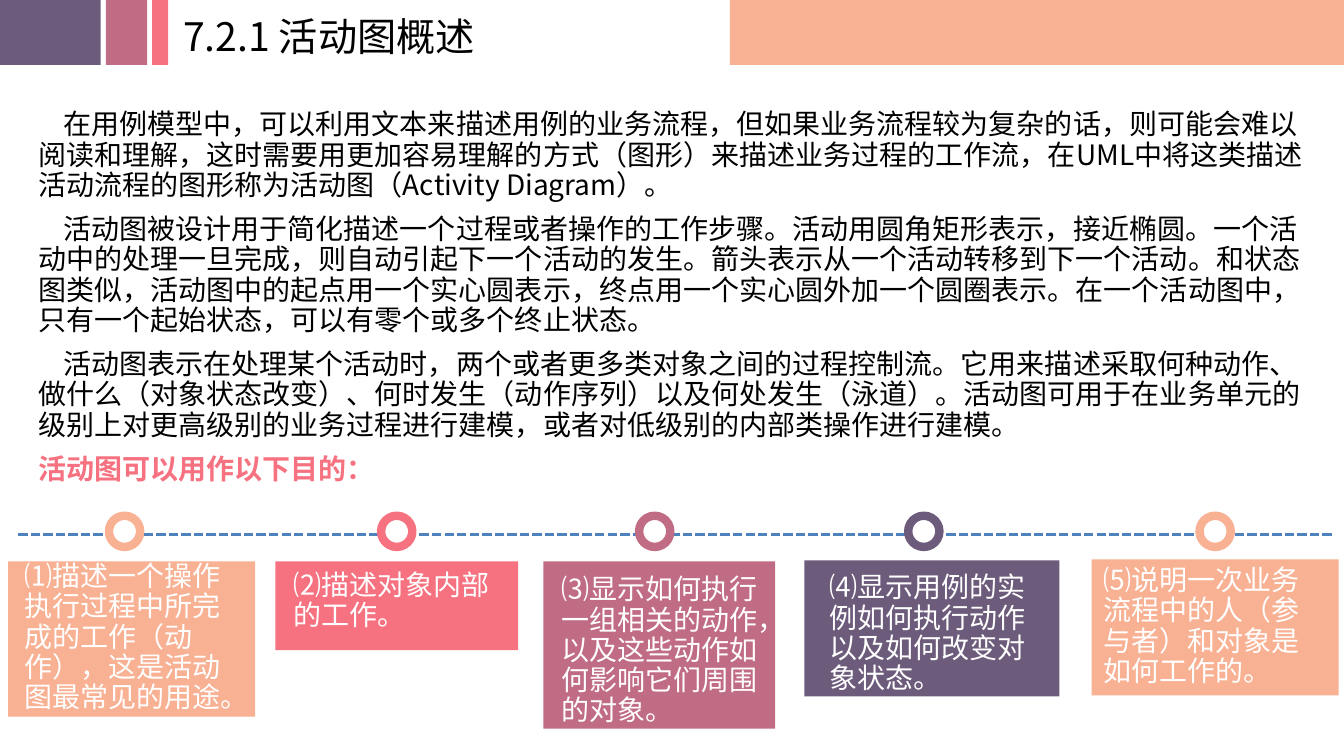
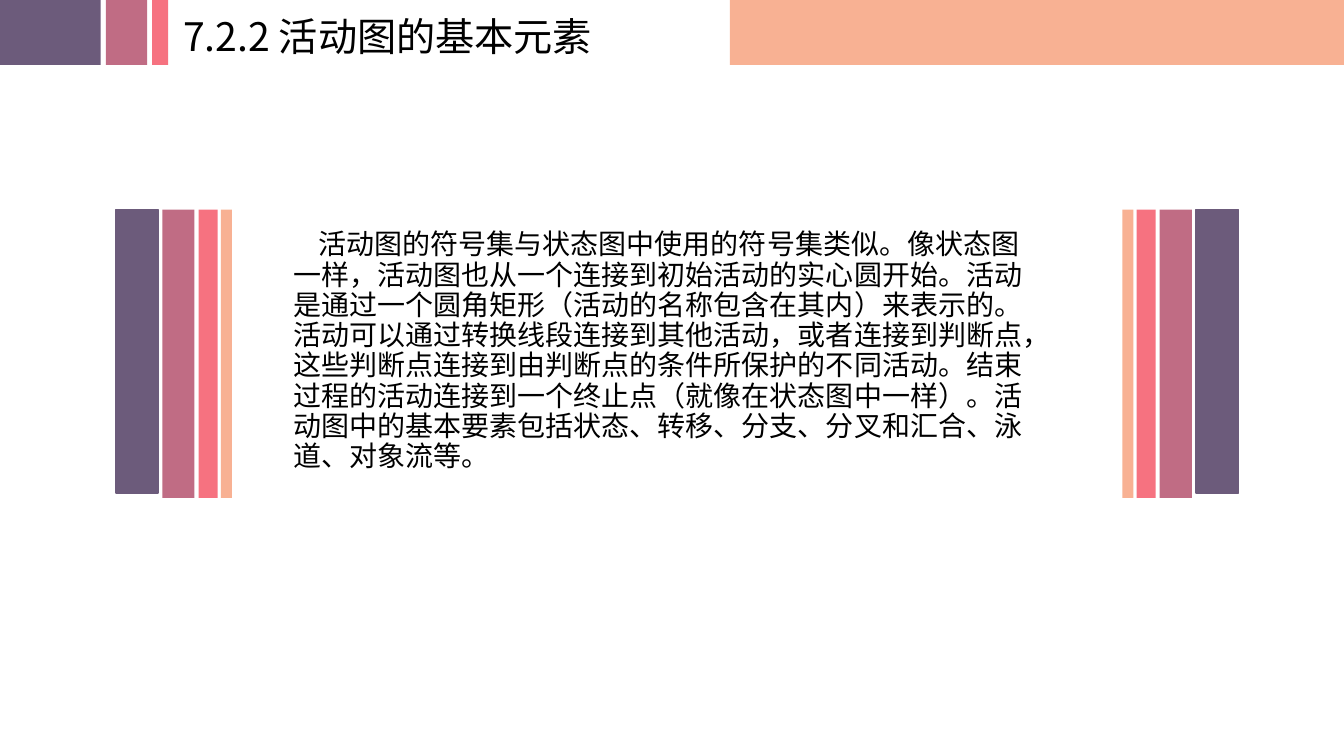
from lxml import etree
from pptx import Presentation
from pptx.dml.color import RGBColor
from pptx.enum import dml, shapes, text
from pptx.oxml.ns import qn
from pptx.util import Pt

FONT = "Noto Sans CJK SC"
PURPLE, MAUVE, PINK, PEACH = "6C5B7B", "C06C84", "F67280", "F8B193"
WHITE, BLACK, BLUE = "FFFFFF", "000000", "4F81BD"
WIDTH, HEIGHT = 960, 540

# Header bands: left, width, colour
BAND_HEIGHT = 46.3
BANDS = [(521.3, 438.7, PEACH), (0, 72, PURPLE), (75.6, 29.5, MAUVE), (108.7, 11.5, PINK)]

OVERVIEW_TITLE = "7.2.1 活动图概述"
OVERVIEW = [
    "在用例模型中，可以利用文本来描述用例的业务流程，但如果业务流程较为复杂的话，则可能会难以阅读和理解，这时需要用更加容易理解的方式（图形）来描述业务过程的工作流，在UML中将这类描述活动流程的图形称为活动图（Activity Diagram）。",
    "活动图被设计用于简化描述一个过程或者操作的工作步骤。活动用圆角矩形表示，接近椭圆。一个活动中的处理一旦完成，则自动引起下一个活动的发生。箭头表示从一个活动转移到下一个活动。和状态图类似，活动图中的起点用一个实心圆表示，终点用一个实心圆外加一个圆圈表示。在一个活动图中，只有一个起始状态，可以有零个或多个终止状态。",
    "活动图表示在处理某个活动时，两个或者更多类对象之间的过程控制流。它用来描述采取何种动作、做什么（对象状态改变）、何时发生（动作序列）以及何处发生（泳道）。活动图可用于在业务单元的级别上对更高级别的业务过程进行建模，或者对低级别的内部类操作进行建模。",
]
PURPOSES_HEADING = "活动图可以用作以下目的："
# Purposes: text, colour, ring left, card (left, top, width, height), insets (left, top, right)
PURPOSES = [
    ("⑴描述一个操作执行过程中所完成的工作（动作），这是活动图最常见的用途。", PEACH, 77.8,
     (5.8, 401, 176.4, 110.9), (11.5, 0.8, 13)),
    ("⑵描述对象内部的工作。", PINK, 272.2, (196.6, 401, 173.5, 63.4), (12.9, 7.2, 1.5)),
    ("⑶显示如何执行一组相关的动作，以及这些动作如何影响它们周围的对象。", MAUVE, 456.5,
     (388.1, 401, 165.6, 119.5), (12.9, 10.3, 7.3)),
    ("⑷显示用例的实例如何执行动作以及如何改变对象状态。", PURPLE, 648.7,
     (574.6, 400.3, 182.2, 97.2), (18, 9.4, 6.5)),
    ("⑸说明一次业务流程中的人（参与者）和对象是如何工作的。", PEACH, 856.8,
     (779.8, 399.6, 176.4, 97.2), (8.6, 5, 15.9)),
]
RING_TOP, RING_SIZE, TIMELINE_Y = 368.4, 22.3, 381.6

ELEMENTS_TITLE = "7.2.2 活动图的基本元素"
ELEMENTS = "活动图的符号集与状态图中使用的符号集类似。像状态图一样，活动图也从一个连接到初始活动的实心圆开始。活动是通过一个圆角矩形（活动的名称包含在其内）来表示的。活动可以通过转换线段连接到其他活动，或者连接到判断点，这些判断点连接到由判断点的条件所保护的不同活动。结束过程的活动连接到一个终止点（就像在状态图中一样）。活动图中的基本要素包括状态、转移、分支、分叉和汇合、泳道、对象流等。"
# Left stripes: left, width, height, colour, outline width
STRIPES = [(82.8, 30.2, 202.3, PURPLE, 1), (157.7, 7.9, 205.9, PEACH, 0),
           (141.8, 13.7, 205.9, PINK, 0), (115.9, 23, 205.9, MAUVE, 0)]
STRIPE_TOP, MIRROR_SUM = 149.8, 967.3


def rgb(value):
    return RGBColor.from_string(value)


def add_block(page, kind, frame, fill, line=None, weight=0):
    block = page.shapes.add_shape(kind, *map(Pt, frame))
    block.shadow.inherit = False
    block.fill.solid()
    block.fill.fore_color.rgb = rgb(fill)
    if weight:
        block.line.color.rgb = rgb(line)
        block.line.width = Pt(weight)
    else:
        block.line.fill.background()
    return block


def write(para, words, size=20, color=BLACK, bold=False, body=True, indent=0):
    """Add a run; body text gets tight lines and a gap above."""
    para.alignment = text.PP_ALIGN.LEFT
    if body:
        para.line_spacing = 0.9
        para.space_before = Pt(10)
    if indent:
        para._p.get_or_add_pPr().set("indent", str(Pt(indent)))
    span = para.add_run()
    span.text = words
    span.font.size, span.font.bold, span.font.name = Pt(size), bold, FONT
    span.font.color.rgb = rgb(color)
    etree.SubElement(span._r.get_or_add_rPr(), qn("a:ea")).set("typeface", FONT)


def add_text_frame(page, frame, wrap=True):
    box = page.shapes.add_textbox(*map(Pt, frame))
    box.text_frame.word_wrap = wrap
    return box.text_frame


def add_page(deck, title):
    page = deck.slides.add_slide(deck.slide_layouts[6])
    for left, width, color in BANDS:
        add_block(page, shapes.MSO_SHAPE.RECTANGLE, (left, 0, width, BAND_HEIGHT), color)
    frame = add_text_frame(page, (123.8, 5, 325, 41), wrap=False)
    write(frame.paragraphs[0], title, size=28, body=False)
    return page


def add_timeline(page):
    line = page.shapes.add_connector(shapes.MSO_CONNECTOR.STRAIGHT,
                                     Pt(13), Pt(TIMELINE_Y), Pt(952.6), Pt(TIMELINE_Y))
    line.line.color.rgb = rgb(BLUE)
    line.line.width = Pt(2.25)
    line.line.dash_style = dml.MSO_LINE.SQUARE_DOT
    etree.SubElement(line._element.spPr, qn("a:effectLst"))


def add_purpose(page, words, color, ring_left, card_frame, insets):
    add_block(page, shapes.MSO_SHAPE.OVAL, (ring_left, RING_TOP, RING_SIZE, RING_SIZE),
              WHITE, color, 6)
    frame = add_block(page, shapes.MSO_SHAPE.RECTANGLE, card_frame, color).text_frame
    frame.word_wrap = True
    frame.vertical_anchor = text.MSO_ANCHOR.TOP
    frame.margin_left, frame.margin_top, frame.margin_right = map(Pt, insets)
    frame.margin_bottom = 0
    write(frame.paragraphs[0], words, color=WHITE)


def build_overview(deck):
    page = add_page(deck, OVERVIEW_TITLE)
    frame = add_text_frame(page, (20.2, 75.6, 932.4, 309.6))
    for number, words in enumerate(OVERVIEW):
        para = frame.add_paragraph() if number else frame.paragraphs[0]
        write(para, words, indent=18)
    write(frame.add_paragraph(), PURPOSES_HEADING, color=PINK, bold=True)
    add_timeline(page)
    for purpose in PURPOSES:
        add_purpose(page, *purpose)


def build_elements(deck):
    page = add_page(deck, ELEMENTS_TITLE)
    frame = add_text_frame(page, (202.3, 161.3, 550.1, 181.4))
    write(frame.paragraphs[0], ELEMENTS, indent=18)
    for left, width, height, color, weight in STRIPES:
        for x in (left, MIRROR_SUM - left - width):
            add_block(page, shapes.MSO_SHAPE.RECTANGLE, (x, STRIPE_TOP, width, height),
                      color, color, weight)


def main():
    deck = Presentation()
    deck.slide_width, deck.slide_height = Pt(WIDTH), Pt(HEIGHT)
    build_overview(deck)
    build_elements(deck)
    deck.save("out.pptx")


if __name__ == "__main__":
    main()
